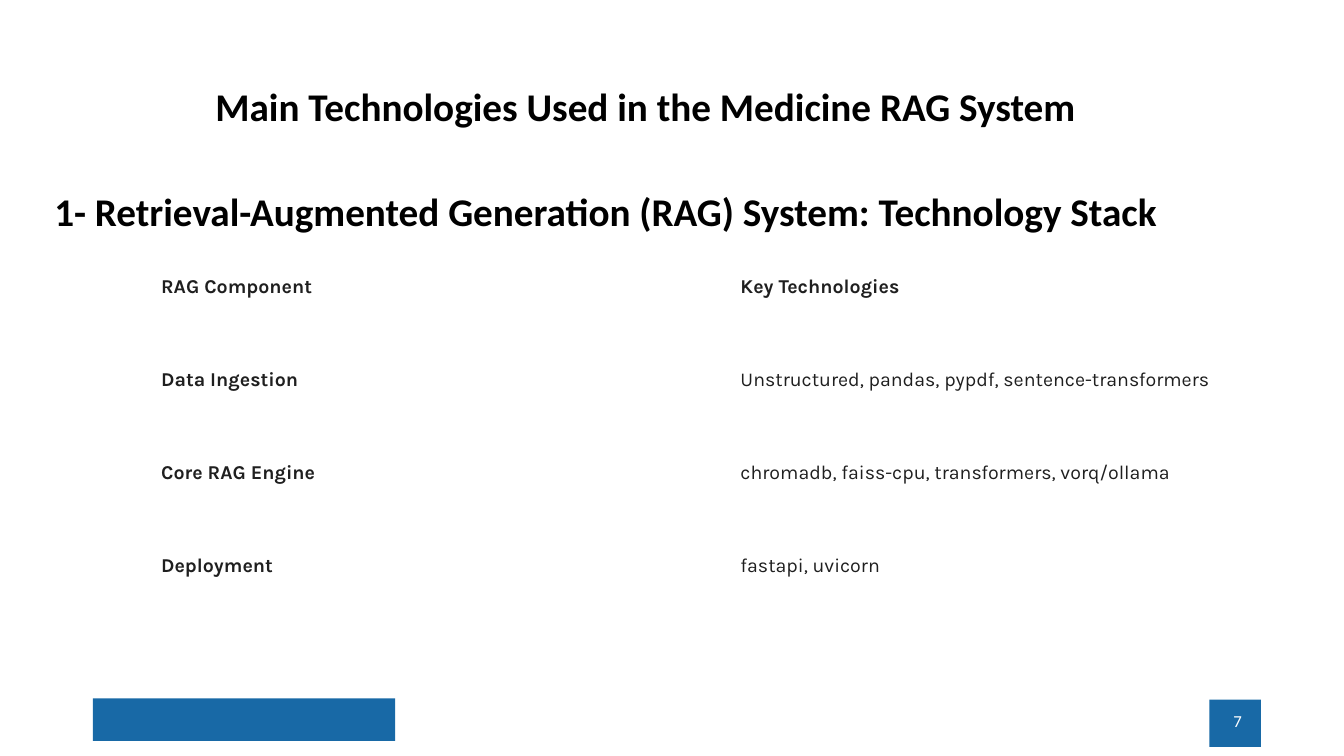
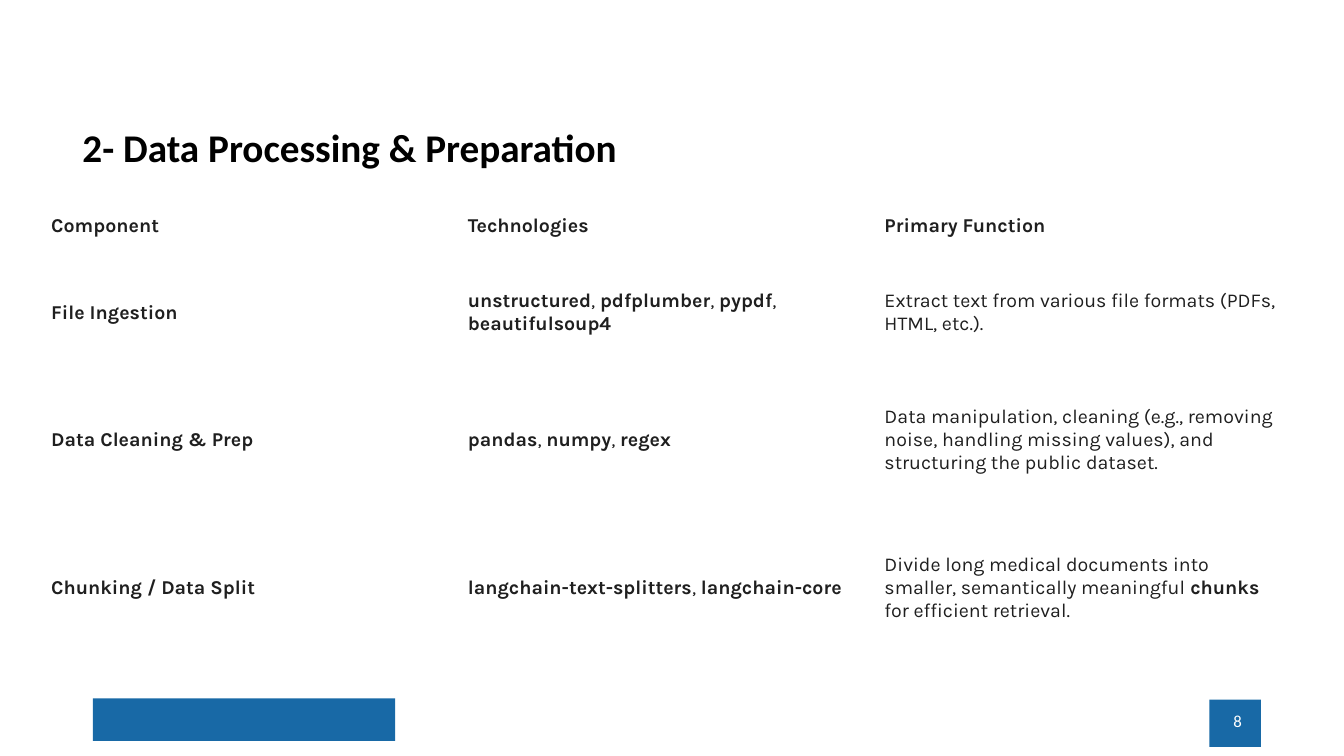
from lxml import etree
from pptx import Presentation
from pptx.dml.color import RGBColor
from pptx.enum.shapes import MSO_SHAPE
from pptx.enum.text import MSO_ANCHOR, PP_ALIGN
from pptx.oxml.ns import qn
from pptx.util import Cm, Pt

RECTANGLE = MSO_SHAPE.RECTANGLE
TOP, MIDDLE, BOTTOM = MSO_ANCHOR.TOP, MSO_ANCHOR.MIDDLE, MSO_ANCHOR.BOTTOM
LEFT, CENTER, RIGHT = PP_ALIGN.LEFT, PP_ALIGN.CENTER, PP_ALIGN.RIGHT

COLORS = {"blue": "1869A6", "white": "FFFFFF", "black": "000000", "ink": "1F1F1F"}
HEADING_FONT, TABLE_FONT = "Calibri", "Karla"

# Boxes are left, top, width, height in centimetres.
FOOTER_BLOCKS = [(2.34, 17.6, 7.62, 1.07), (30.48, 17.63, 1.3, 1.19)]
NUMBER_BOX = (23.93, 17.65, 7.62, 1.02)

# Text between ** marks is bold.
SLIDES = [
    {
        "number": "7",
        "headings": [
            ("Main Technologies Used in the Medicine RAG System",
             (3.56, 1.65, 25.4, 1.75), CENTER, BOTTOM),
            ("1- Retrieval-Augmented Generation (RAG) System: Technology Stack",
             (1.12, 4.72, 28.91, 1.35), LEFT, TOP),
        ],
        "table": {
            "origin": (3.81, 6.07),
            "column_width": 14.6,
            "row_heights": [2.34] * 4,
            "rows": [
                ("**RAG Component**", "**Key Technologies**"),
                ("**Data Ingestion**",
                 "Unstructured, pandas, pypdf, sentence-transformers"),
                ("**Core RAG Engine**",
                 "chromadb, faiss-cpu, transformers, vorq/ollama"),
                ("**Deployment**", "fastapi, uvicorn"),
            ],
        },
    },
    {
        "number": "8",
        "headings": [
            ("2- Data Processing & Preparation",
             (1.83, 3.12, 18.31, 1.32), LEFT, BOTTOM),
        ],
        "table": {
            "origin": (1.04, 4.88),
            "column_width": 10.5,
            "row_heights": [1.65, 2.69, 3.73, 3.73],
            "rows": [
                ("**Component**", "**Technologies**", "**Primary Function**"),
                ("**File Ingestion**",
                 "**unstructured**, **pdfplumber**, **pypdf**, **beautifulsoup4**",
                 "Extract text from various file formats (PDFs, HTML, etc.)."),
                ("**Data Cleaning & Prep**",
                 "**pandas**, **numpy**, **regex**",
                 "Data manipulation, cleaning (e.g., removing noise, handling "
                 "missing values), and structuring the public dataset."),
                ("**Chunking / Data Split**",
                 "**langchain-text-splitters**, **langchain-core**",
                 "Divide long medical documents into smaller, semantically "
                 "meaningful **chunks** for efficient retrieval."),
            ],
        },
    },
]


def write(frame, text, *, size, font, color, align=LEFT, line_spacing=None):
    """Fill the frame's first paragraph, turning ** marks into bold spans."""
    frame.word_wrap = True
    para = frame.paragraphs[0]
    para.alignment = align
    if line_spacing:
        para.line_spacing = line_spacing
    for index, part in enumerate(text.split("**")):
        if part:
            span = para.add_run()
            span.text = part
            span.font.size = Pt(size)
            span.font.name = font
            span.font.bold = index % 2 == 1
            span.font.color.rgb = RGBColor.from_string(COLORS[color])


def add_text(slide, text, box, *, anchor, **style):
    frame = slide.shapes.add_textbox(*map(Cm, box)).text_frame
    frame.vertical_anchor = anchor
    write(frame, text, font=HEADING_FONT, **style)


def add_footer(slide, number):
    for box in FOOTER_BLOCKS:
        block = slide.shapes.add_shape(RECTANGLE, *map(Cm, box))
        block.shadow.inherit = False
        block.fill.solid()
        block.fill.fore_color.rgb = RGBColor.from_string(COLORS["blue"])
        block.line.fill.background()
    add_text(slide, number, NUMBER_BOX, anchor=MIDDLE, size=12,
             color="white", align=RIGHT)


def set_borders(cell, color, width):
    properties = cell._tc.get_or_add_tcPr()
    for side in ("a:lnL", "a:lnR", "a:lnT", "a:lnB"):
        line = etree.SubElement(properties, qn(side), w=str(Pt(width)))
        fill = etree.SubElement(line, qn("a:solidFill"))
        etree.SubElement(fill, qn("a:srgbClr"), val=COLORS[color])


def add_table(slide, origin, column_width, row_heights, rows):
    column_count = len(rows[0])
    table = slide.shapes.add_table(
        len(rows), column_count, *map(Cm, origin),
        Cm(column_width * column_count), Cm(sum(row_heights))).table
    table.first_row = table.horz_banding = False
    for column in table.columns:
        column.width = Cm(column_width)
    for row, height, texts in zip(table.rows, row_heights, rows):
        row.height = Cm(height)
        for cell, text in zip(row.cells, texts):
            set_borders(cell, "white", 0.6)
            cell.fill.background()
            cell.vertical_anchor = MIDDLE
            cell.margin_left = cell.margin_right = Cm(0.25)
            cell.margin_top = cell.margin_bottom = Cm(0.18)
            write(cell.text_frame, text, size=14, font=TABLE_FONT, color="ink")


def main():
    deck = Presentation()
    deck.slide_width, deck.slide_height = Cm(33.87), Cm(19.05)
    blank = deck.slide_layouts[6]
    for content in SLIDES:
        slide = deck.slides.add_slide(blank)
        add_footer(slide, content["number"])
        for text, box, align, anchor in content["headings"]:
            add_text(slide, f"**{text}**", box, anchor=anchor, size=28,
                     color="black", align=align, line_spacing=0.9)
        add_table(slide, **content["table"])
    deck.save("out.pptx")


if __name__ == "__main__":
    main()
